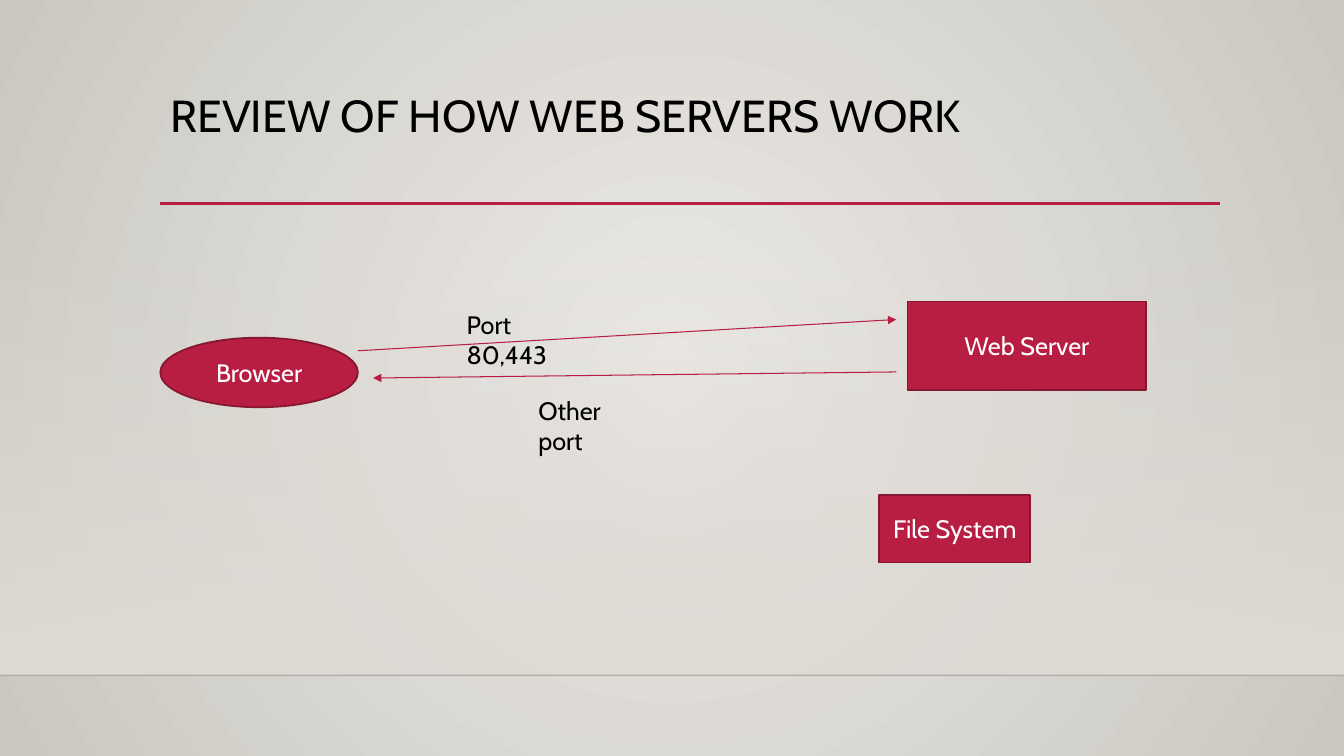
"""Build the slide that reviews how web servers work."""
import lxml.etree
import pptx
import pptx.dml.color
import pptx.enum.shapes
import pptx.enum.text
import pptx.oxml
import pptx.oxml.ns
import pptx.util

Inches = pptx.util.Inches
Shapes = pptx.enum.shapes.MSO_SHAPE
Anchor = pptx.enum.text.MSO_ANCHOR
Align = pptx.enum.text.PP_ALIGN
qn = pptx.oxml.ns.qn

COLORS = {
    "accent": "B71E42", "outline": "871631", "text": "000000", "label": "FFFFFF",
    "floor": "000001", "band": "DFDBD5", "center": "ECEAE7", "edge": "CAC7C1",
}
RADIAL = ('<a:path path="circle"><a:fillToRect l="50000" t="50000" r="50000" b="50000"/>'
          '</a:path>')
DOWNWARD = '<a:lin ang="5400000" scaled="0"/>'


class SlideBuilder:
    font = "Cabin"

    def __init__(self, slide):
        self.slide = slide

    def color(self, name):
        return pptx.dml.color.RGBColor.from_string(COLORS[name])

    def gradient(self, fill, element, stops, direction):
        fill.solid()
        solid = element.find(".//" + qn("a:solidFill"))
        stop_list = "".join(
            f'<a:gs pos="{position * 1000}"><a:srgbClr val="{COLORS[name]}">'
            f'<a:alpha val="{alpha * 1000}"/></a:srgbClr></a:gs>'
            for position, name, alpha in stops)
        namespace = pptx.oxml.ns.nsdecls("a")
        solid.getparent().replace(solid, pptx.oxml.parse_xml(
            f'<a:gradFill {namespace} rotWithShape="1"><a:gsLst>{stop_list}</a:gsLst>'
            f'{direction}</a:gradFill>'))

    def background(self):
        self.gradient(self.slide.background.fill, self.slide.element,
                      [(0, "center", 100), (100, "edge", 100)], RADIAL)

    def band(self, left, top, width, height):
        shape = self.slide.shapes.add_shape(
            Shapes.RECTANGLE, Inches(left), Inches(top), Inches(width), Inches(height))
        shape.shadow.inherit = False
        shape.line.fill.background()
        self.gradient(shape.fill, shape.element,
                      [(0, "band", 0), (100, "band", 100)], DOWNWARD)

    def set_text(self, text_frame, text, size, color):
        text_frame.text = text
        text_frame.word_wrap = True
        paragraph = text_frame.paragraphs[0]
        font = paragraph.runs[0].font
        font.name = self.font
        font.size = pptx.util.Pt(size)
        font.color.rgb = self.color(color)
        return paragraph

    def text(self, text, left, top, width, height, size=18, line_spacing=1.0):
        box = self.slide.shapes.add_textbox(
            Inches(left), Inches(top), Inches(width), Inches(height))
        self.set_text(box.text_frame, text, size, "text").line_spacing = line_spacing

    def node(self, kind, text, left, top, width, height):
        shape = self.slide.shapes.add_shape(
            kind, Inches(left), Inches(top), Inches(width), Inches(height))
        shape.shadow.inherit = False
        shape.fill.solid()
        shape.fill.fore_color.rgb = self.color("accent")
        shape.line.color.rgb = self.color("outline")
        shape.line.width = pptx.util.Pt(1.25)
        shape.text_frame.vertical_anchor = Anchor.MIDDLE
        self.set_text(shape.text_frame, text, 18, "label").alignment = Align.CENTER

    def line(self, start, end, color="accent", width=0.75, opacity=100, arrow=False):
        connector = self.slide.shapes.add_connector(
            pptx.enum.shapes.MSO_CONNECTOR.STRAIGHT,
            *(Inches(value) for value in start + end))
        connector.line.color.rgb = self.color(color)
        connector.line.width = pptx.util.Pt(width)
        properties = connector.element.spPr
        if opacity < 100:
            lxml.etree.SubElement(properties.find(".//" + qn("a:srgbClr")),
                                  qn("a:alpha"), val=str(opacity * 1000))
        if arrow:
            lxml.etree.SubElement(properties.find(qn("a:ln")),
                                  qn("a:tailEnd"), type="triangle")
        lxml.etree.SubElement(properties, qn("a:effectLst"))


presentation = pptx.Presentation()
presentation.slide_width = Inches(13.33)
presentation.slide_height = Inches(7.5)
builder = SlideBuilder(presentation.slides.add_slide(presentation.slide_layouts[6]))

builder.background()
builder.band(0, 2.21, 13.33, 4.49)
builder.line((0, 6.7), (13.33, 6.7), "floor", 1, opacity=20)
builder.line((1.59, 2.02), (12.1, 2.02), width=2.5)
builder.text("REVIEW OF HOW WEB SERVERS WORK", 1.59, 0.88, 10.5, 1.15, 32, 0.9)

builder.node(Shapes.OVAL, "Browser", 1.59, 3.35, 1.96, 0.69)
builder.node(Shapes.RECTANGLE, "Web Server", 9, 2.99, 2.37, 0.88)
builder.node(Shapes.RECTANGLE, "File System", 8.72, 4.91, 1.5, 0.67)

builder.line((3.55, 3.48), (8.89, 3.17), arrow=True)
builder.text("Port 80,443", 4.53, 3.02, 1.41, 0.4)
builder.line((8.89, 3.69), (3.7, 3.75), arrow=True)
builder.text("Other port", 5.24, 3.87, 1.25, 0.71)

presentation.save("out.pptx")
